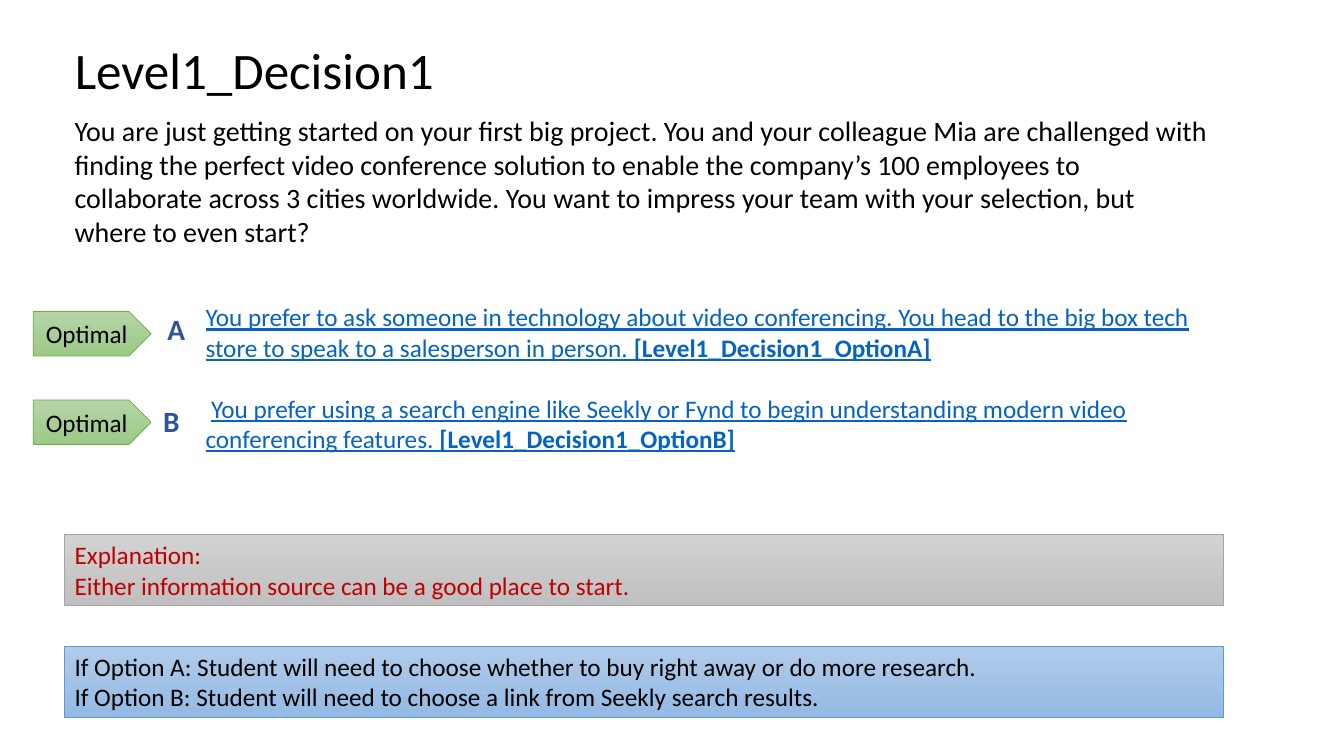
from pptx import Presentation
from pptx.dml.color import RGBColor as RGB
from pptx.enum.shapes import MSO_SHAPE as Kind
from pptx.enum.text import MSO_ANCHOR as Anchor, MSO_AUTO_SIZE as Fit, PP_ALIGN as Align
from pptx.util import Cm, Pt

BLACK = RGB(0x00, 0x00, 0x00)
RED = RGB(0xC0, 0x00, 0x00)
LINK = RGB(0x05, 0x63, 0xC1)
NAVY = RGB(0x2F, 0x55, 0x97)
GREEN = (RGB(0xB5, 0xD5, 0xA7), RGB(0x9C, 0xC9, 0x87), RGB(0x70, 0xAD, 0x47))
GRAY = (RGB(0xD2, 0xD2, 0xD2), RGB(0xC0, 0xC0, 0xC0), RGB(0xA5, 0xA5, 0xA5))
BLUE = (RGB(0xB1, 0xCB, 0xE9), RGB(0x93, 0xB9, 0xE4), RGB(0x5B, 0x9B, 0xD5))

TITLE = "Level1_Decision1"
INTRO = (
    "You are just getting started on your first big project. You and your colleague Mia "
    "are challenged with finding the perfect video conference solution to enable the "
    "company’s 100 employees to collaborate across 3 cities worldwide. You want to impress "
    "your team with your selection, but where to even start?"
)
OPTIONS = [
    ("You prefer to ask someone in technology about video conferencing. You head to the "
     "big box tech store to speak to a salesperson in person. ",
     "[Level1_Decision1_OptionA]"),
    ("You prefer using a search engine like Seekly or Fynd to begin understanding modern "
     "video conferencing features. ",
     "[Level1_Decision1_OptionB]"),
]
MARKS = [("A", 3.89, 7.67), ("B", 3.78, 9.98)]
TAG = "Optimal"
TAG_TOPS = [7.85, 10.08]
BARS = [
    (13.46, GRAY, RED, ["Explanation:", "Either information source can be a good place to start."]),
    (16.28, BLUE, BLACK, [
        "If Option A: Student will need to choose whether to buy right away or do more research.",
        "If Option B: Student will need to choose a link from Seekly search results.",
    ]),
]
LEFT, WIDTH = 1.63, 29.21


def style(font, size, color, bold=False):
    font.name, font.size, font.bold = "Calibri", Pt(size), bold
    font.color.rgb = color


def write(frame, lines, size, color, bold=False, align=Align.LEFT):
    frame.word_wrap = True
    frame.text = "\n".join(lines)
    for para in frame.paragraphs:
        para.alignment = align
        style(para.font, size, color, bold)


def text_box(slide, *box):
    frame = slide.shapes.add_textbox(*map(Cm, box)).text_frame
    frame.word_wrap = True
    return frame


def panel(slide, kind, box, tones, lines, color, align):
    shape = slide.shapes.add_shape(kind, *map(Cm, box))
    shape.shadow.inherit = False
    shape.fill.gradient()
    shape.fill.gradient_angle = 270
    for stop, tone, place in zip(shape.fill.gradient_stops, tones, (0, 1)):
        stop.color.rgb, stop.position = tone, place
    shape.line.color.rgb = tones[2]
    shape.line.width = Pt(0.5)
    shape.text_frame.vertical_anchor = Anchor.MIDDLE
    write(shape.text_frame, lines, 18, color, align=align)


def add_title(slide):
    title = slide.shapes.title
    title.left, title.top, title.width, title.height = map(Cm, (LEFT, 0, WIDTH, 3.68))
    frame = title.text_frame
    write(frame, [TITLE], 36.5, BLACK)
    frame.auto_size = Fit.NONE
    frame.vertical_anchor = Anchor.MIDDLE
    frame.paragraphs[0].line_spacing = 0.9


def add_options(slide):
    frame = text_box(slide, 4.93, 7.48, 25.91, 4.1)
    for i, parts in enumerate(OPTIONS):
        para = frame.add_paragraph() if i else frame.paragraphs[0]
        if i:
            para.space_before = Pt(22)
            para._p.get_or_add_pPr().set("indent", str(Cm(0.14)))
        style(para.font, 18, LINK)
        for part, bold in zip(parts, (False, True)):
            run = para.add_run()
            run.text = part
            run.font.bold, run.font.underline = bold, True
            run.font.color.rgb = LINK


def main():
    """Build the decision slide and save it."""
    deck = Presentation()
    deck.slide_width, deck.slide_height = Cm(33.87), Cm(19.05)
    slide = deck.slides.add_slide(deck.slide_layouts[5])
    add_title(slide)
    add_options(slide)
    for mark, left, top in MARKS:
        frame = text_box(slide, left, top, 1.75, 1.3)
        frame.margin_left = frame.margin_right = Cm(0.33)
        frame.margin_top = frame.margin_bottom = Cm(0.18)
        write(frame, [mark], 21, NAVY, True)
    for top in TAG_TOPS:
        panel(slide, Kind.PENTAGON, (0.84, top, 2.97, 1.12), GREEN, [TAG], BLACK, Align.CENTER)
    write(text_box(slide, LEFT, 2.74, WIDTH, 4.45), [INTRO], 20, BLACK)
    for top, tones, color, lines in BARS:
        panel(slide, Kind.RECTANGLE, (LEFT, top, WIDTH, 1.8), tones, lines, color, Align.LEFT)
    deck.save("out.pptx")


if __name__ == "__main__":
    main()
